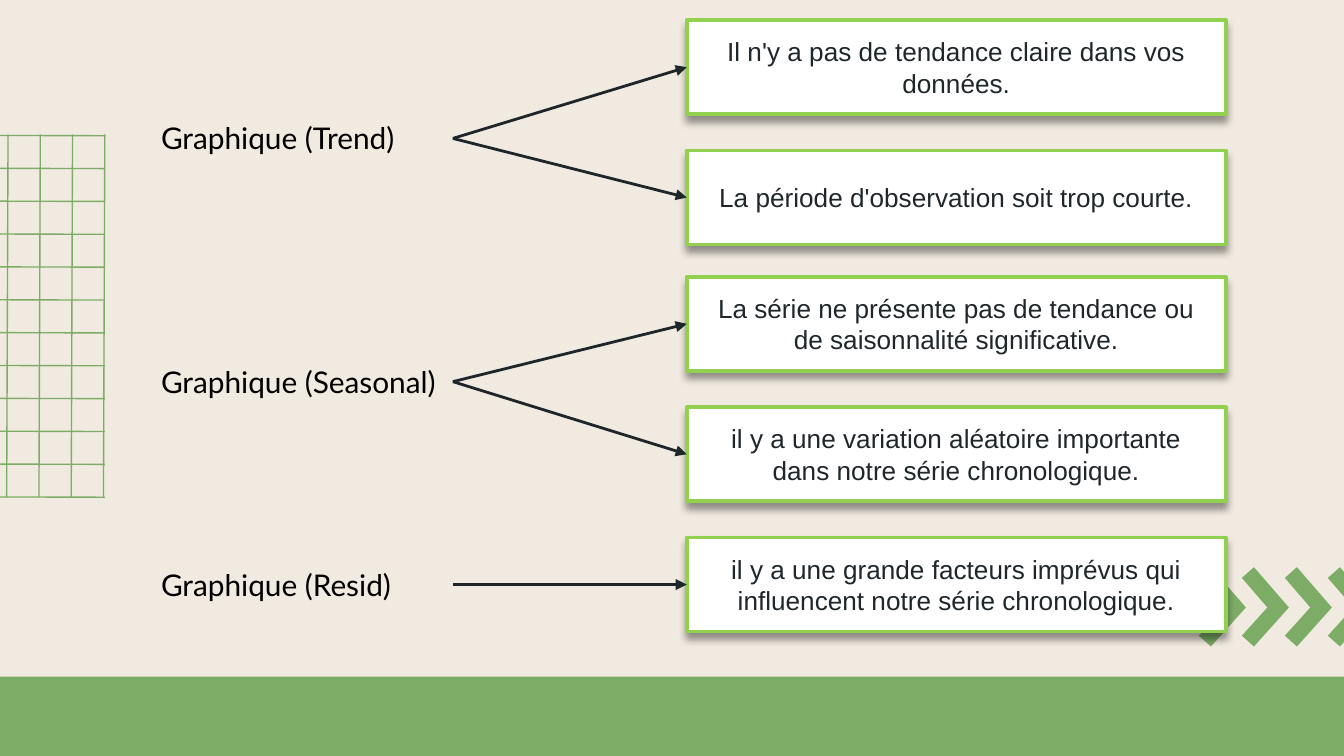
from lxml.etree import SubElement
from pptx import Presentation
from pptx.dml.color import RGBColor
from pptx.enum.shapes import MSO_CONNECTOR, MSO_SHAPE
from pptx.enum.text import MSO_ANCHOR, MSO_AUTO_SIZE, PP_ALIGN
from pptx.oxml.ns import qn
from pptx.util import Inches, Pt

CREAM = RGBColor(0xF1, 0xEA, 0xE0)
GREEN = RGBColor(0x7D, 0xAC, 0x66)
LIME = RGBColor(0x92, 0xD0, 0x50)
WHITE = RGBColor(0xFF, 0xFF, 0xFF)
BLACK = RGBColor(0x00, 0x00, 0x00)
INK = RGBColor(0x1F, 0x27, 0x2B)
ARROW = RGBColor(0x1E, 0x26, 0x2A)

BRANCHES = [
    ("Graphique (Trend)", 1.03, [
        ("Il n'y a pas de tendance claire dans vos données.", 0.15),
        ("La période d'observation soit trop courte.", 1.12),
    ]),
    ("Graphique (Seasonal)", 2.84, [
        ("La série ne présente pas de tendance ou de saisonnalité significative.", 2.06),
        ("il y a une variation aléatoire importante dans notre série chronologique.", 3.03),
    ]),
    ("Graphique (Resid)", 4.35, [
        ("il y a une grande facteurs imprévus qui influencent notre série chronologique.", 4.0),
    ]),
]
LABEL_X, LABEL_W, LABEL_H = 1.1, 2.27, 0.37
BOX_X, BOX_W, BOX_H = 5.11, 4.01, 0.7
CHEVRON = [(0.09, 0), (0, 0.08), (0.19, 0.3), (0, 0.51), (0.09, 0.59), (0.35, 0.3)]

prs = Presentation()
prs.slide_width = Inches(10)
prs.slide_height = prs.slide_width * 9 // 16
s = prs.slides.add_slide(prs.slide_layouts[6])
s.background.fill.solid()
s.background.fill.fore_color.rgb = CREAM


def add_line(x1, y1, x2, y2, color, width, arrow=False):
    cn = s.shapes.add_connector(
        MSO_CONNECTOR.STRAIGHT, Inches(x1), Inches(y1), Inches(x2), Inches(y2))
    cn.line.color.rgb = color
    cn.line.width = Pt(width)
    spPr = cn._element.spPr
    if arrow:
        SubElement(spPr.find(qn("a:ln")), qn("a:tailEnd"), type="triangle")
    SubElement(spPr, qn("a:effectLst"))


def paint(sp, fill):
    sp.shadow.inherit = False
    sp.fill.solid()
    sp.fill.fore_color.rgb = fill
    sp.line.fill.background()


def add_shadow(sp):
    effects = sp._element.spPr.find(qn("a:effectLst"))
    shadow = SubElement(effects, qn("a:outerShdw"), blurRad=str(Pt(4)), dist=str(Pt(3)),
                        dir="5400000", algn="t", rotWithShape="0")
    color = SubElement(shadow, qn("a:srgbClr"), val="000000")
    SubElement(color, qn("a:alpha"), val="40000")


def write(sp, text, size, font, color, align=PP_ALIGN.LEFT, anchor=MSO_ANCHOR.TOP,
          auto_size=MSO_AUTO_SIZE.NONE):
    tf = sp.text_frame
    tf.word_wrap = True
    tf.auto_size = auto_size
    tf.vertical_anchor = anchor
    p = tf.paragraphs[0]
    p.alignment = align
    r = p.add_run()
    r.text = text
    r.font.size = Pt(size)
    r.font.name = font
    r.font.color.rgb = color


for i in range(12):
    y = 3.69 - i * 2.69 / 11
    add_line(-3.09, y, 0.78, y + 0.01, GREEN, 0.75)
for i in range(4):
    x = 0.06 + i * 0.24
    add_line(x, 1, x - 0.01, 3.7, GREEN, 0.75)

for i in range(4):
    points = [(Inches(8.92 + i * 0.32 + x), Inches(4.22 + y)) for x, y in CHEVRON]
    builder = s.shapes.build_freeform(*points[0])
    builder.add_line_segments(points[1:], close=True)
    paint(builder.convert_to_shape(), GREEN)

band_h = Inches(0.59)
band = s.shapes.add_shape(
    MSO_SHAPE.RECTANGLE, 0, prs.slide_height - band_h, prs.slide_width, band_h)
paint(band, GREEN)

for label, mid_y, findings in BRANCHES:
    tb = s.shapes.add_textbox(
        Inches(LABEL_X), Inches(mid_y - LABEL_H / 2), Inches(LABEL_W), Inches(LABEL_H))
    write(tb, label, size=16, font="Lato", color=BLACK,
          auto_size=MSO_AUTO_SIZE.SHAPE_TO_FIT_TEXT)
    for text, y in findings:
        box = s.shapes.add_shape(
            MSO_SHAPE.RECTANGLE, Inches(BOX_X), Inches(y), Inches(BOX_W), Inches(BOX_H))
        paint(box, WHITE)
        box.line.color.rgb = LIME
        box.line.width = Pt(2)
        add_shadow(box)
        write(box, text, size=14, font="Arial", color=INK,
              align=PP_ALIGN.CENTER, anchor=MSO_ANCHOR.MIDDLE)
    for _, y in findings:
        add_line(LABEL_X + LABEL_W, mid_y, BOX_X, y + BOX_H / 2, ARROW, 1.5, arrow=True)

prs.save("out.pptx")
